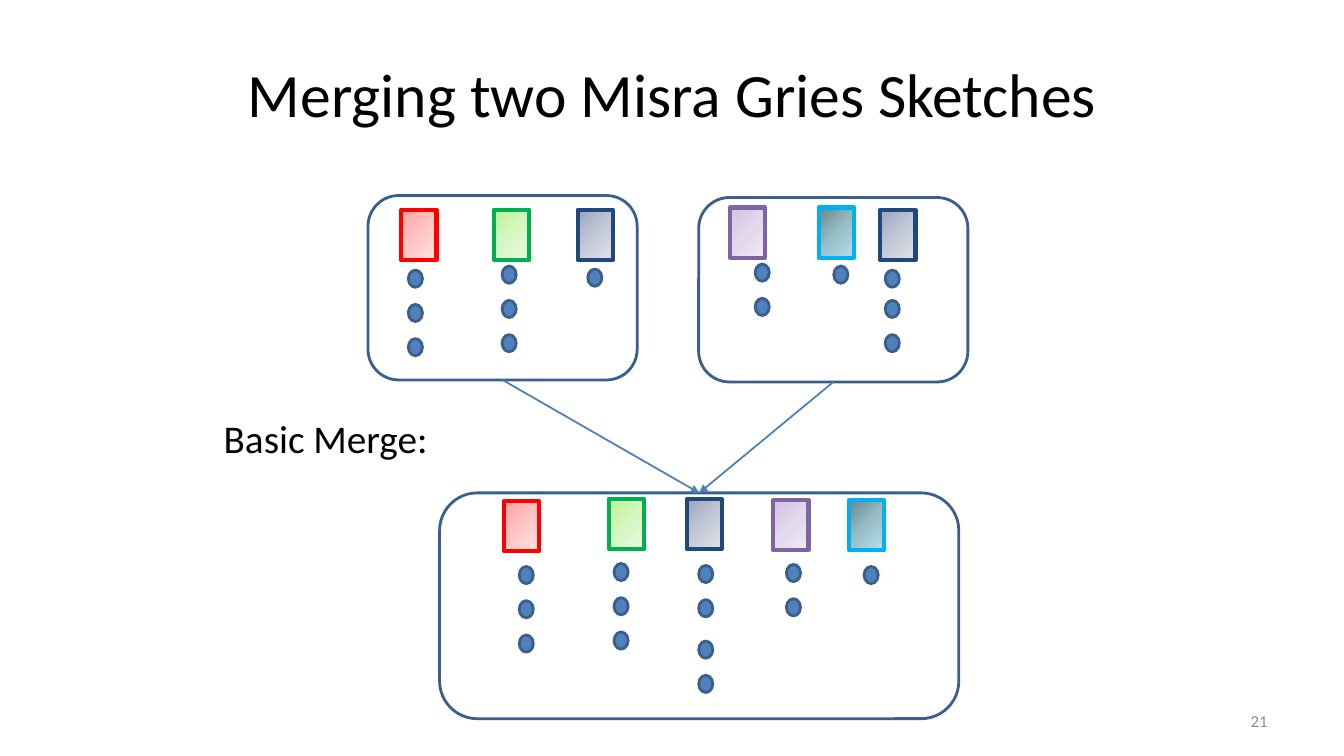
"""Build the slide on merging two Misra Gries sketches."""
from copy import deepcopy

from pptx import Presentation
from pptx.dml.color import RGBColor
from pptx.enum.shapes import MSO_CONNECTOR, MSO_SHAPE
from pptx.enum.text import MSO_ANCHOR as Anchor, PP_ALIGN as Align
from pptx.oxml.ns import qn
from pptx.util import Inches, Pt

BLACK = RGBColor(0x00, 0x00, 0x00)
GREY = RGBColor(0x8C, 0x8C, 0x8C)
DOT_BLUE = RGBColor(0x4F, 0x81, 0xBD)
OUTLINE_BLUE = RGBColor(0x3A, 0x5F, 0x8C)
ARROW_BLUE = RGBColor(0x4B, 0x7E, 0xBC)

RED = (RGBColor(0xFF, 0x00, 0x00), RGBColor(0xFF, 0xA0, 0xA0),
       RGBColor(0xFF, 0xC5, 0xC5), RGBColor(0xFF, 0xE3, 0xE3))
GREEN = (RGBColor(0x00, 0xB0, 0x50), RGBColor(0xBE, 0xF2, 0x97),
         RGBColor(0xD5, 0xF6, 0xC0), RGBColor(0xEA, 0xFA, 0xE0))
NAVY = (RGBColor(0x1F, 0x49, 0x7D), RGBColor(0x9A, 0xA4, 0xBE),
        RGBColor(0xC2, 0xC8, 0xD6), RGBColor(0xE2, 0xE4, 0xEA))
PURPLE = (RGBColor(0x80, 0x64, 0xA2), RGBColor(0xD0, 0xC2, 0xE2),
          RGBColor(0xE1, 0xD8, 0xEC), RGBColor(0xF0, 0xEC, 0xF5))
CYAN = (RGBColor(0x00, 0xB0, 0xF0), RGBColor(0x6A, 0x85, 0x8C),
        RGBColor(0x97, 0xBD, 0xC7), RGBColor(0xB3, 0xE0, 0xEC))

TITLE = "Merging two Misra Gries Sketches"
MERGE_LABEL = "Basic Merge:"
PAGE_NUMBER = "21"

# Each counter: palette, tile left and top, dot left, runs of (first top, count)
LEFT_SKETCH = ((3.65, 1.94, 2.67, 1.83), [
    (RED, 3.98, 2.08, 4.05, [(2.68, 3)]),
    (GREEN, 4.9, 2.08, 4.98, [(2.64, 3)]),
    (NAVY, 5.73, 2.08, 5.83, [(2.67, 1)]),
])
RIGHT_SKETCH = ((6.93, 1.96, 2.67, 1.83), [
    (PURPLE, 7.24, 2.06, 7.49, [(2.62, 2)]),
    (CYAN, 8.12, 2.06, 8.27, [(2.64, 1)]),
    (NAVY, 8.73, 2.08, 8.78, [(2.68, 1), (2.98, 2)]),
])
MERGED_SKETCH = ((4.36, 4.89, 5.15, 2.24), [
    (RED, 5.0, 4.97, 5.15, [(5.62, 3)]),
    (GREEN, 6.04, 4.95, 6.09, [(5.59, 3)]),
    (NAVY, 6.81, 4.95, 6.93, [(5.61, 2), (6.36, 2)]),
    (PURPLE, 7.67, 4.96, 7.8, [(5.6, 2)]),
    (CYAN, 8.42, 4.96, 8.57, [(5.62, 1)]),
])

TILE_SIZE = (0.35, 0.5)
DOT_SIZE = (0.14, 0.17)
DOT_PITCH = 0.34


def write(frame, text, size, color=BLACK, align=Align.LEFT, anchor=Anchor.TOP, wrap=True):
    """Put one formatted paragraph into a text frame."""
    frame.word_wrap = wrap
    frame.vertical_anchor = anchor
    paragraph = frame.paragraphs[0]
    paragraph.text = text
    paragraph.alignment = align
    paragraph.font.size = Pt(size)
    paragraph.font.name = "Calibri"
    paragraph.font.color.rgb = color


def place(shape, box):
    """Move and size a shape in inches."""
    shape.left, shape.top, shape.width, shape.height = map(Inches, box)


def draw(slide, preset, box, line_color, line_width):
    """Add an outlined preset shape without fill or shadow."""
    shape = slide.shapes.add_shape(preset, *map(Inches, box))
    shape.shadow.inherit = False
    shape.fill.background()
    shape.line.color.rgb = line_color
    shape.line.width = Pt(line_width)
    return shape


def shade(tile, colors):
    """Fill a tile with an even diagonal three-colour gradient."""
    tile.fill.gradient()
    tile.fill.gradient_angle = 315
    stop_list = next(tile._element.spPr.iter(qn("a:gsLst")))
    stop_list.insert(1, deepcopy(stop_list[0]))
    for index, (stop, color) in enumerate(zip(tile.fill.gradient_stops, colors)):
        stop.position = index / 2
        stop.color.rgb = color


def draw_sketch(slide, frame_box, counters):
    """Draw the counters of a sketch and return its rounded frame."""
    for (edge, *shades), tile_left, tile_top, dot_left, runs in counters:
        tile = draw(slide, MSO_SHAPE.RECTANGLE, (tile_left, tile_top, *TILE_SIZE), edge, 3)
        shade(tile, shades)
        for first_top, count in runs:
            for step in range(count):
                dot_box = (dot_left, first_top + step * DOT_PITCH, *DOT_SIZE)
                dot = draw(slide, MSO_SHAPE.OVAL, dot_box, OUTLINE_BLUE, 2)
                dot.fill.solid()
                dot.fill.fore_color.rgb = DOT_BLUE
    return draw(slide, MSO_SHAPE.ROUNDED_RECTANGLE, frame_box, OUTLINE_BLUE, 2)


def link(slide, source, target):
    """Join the bottom of one frame to the top of another with an arrow."""
    arrow = slide.shapes.add_connector(MSO_CONNECTOR.STRAIGHT, 0, 0, 0, 0)
    arrow.begin_connect(source, 2)
    arrow.end_connect(target, 0)
    arrow.line.color.rgb = ARROW_BLUE
    arrow.line.width = Pt(1.25)
    arrow_line = arrow.line._get_or_add_ln()
    arrow_line.append(arrow_line.makeelement(qn("a:tailEnd"), {"type": "triangle"}))
    properties = arrow._element.spPr
    properties.append(properties.makeelement(qn("a:effectLst"), {}))


def main():
    """Compose and save the slide."""
    deck = Presentation()
    deck.slide_width, deck.slide_height = Inches(13.33), Inches(7.5)
    slide = deck.slides.add_slide(deck.slide_layouts[5])

    title = slide.shapes.title
    place(title, (0.67, 0.3, 12, 1.25))
    write(title.text_frame, TITLE, 44, align=Align.CENTER, anchor=Anchor.MIDDLE)

    left, right, merged = (draw_sketch(slide, *sketch)
                           for sketch in (LEFT_SKETCH, RIGHT_SKETCH, MERGED_SKETCH))
    for source in (left, right):
        link(slide, source, merged)

    merge_label = slide.shapes.add_textbox(*map(Inches, (2.12, 4.06, 2.25, 0.57)))
    write(merge_label.text_frame, MERGE_LABEL, 28, wrap=False)
    page_number = slide.shapes.add_textbox(*map(Inches, (9.56, 6.95, 3.11, 0.4)))
    write(page_number.text_frame, PAGE_NUMBER, 12, color=GREY,
          align=Align.RIGHT, anchor=Anchor.MIDDLE)

    deck.save("out.pptx")


if __name__ == "__main__":
    main()
